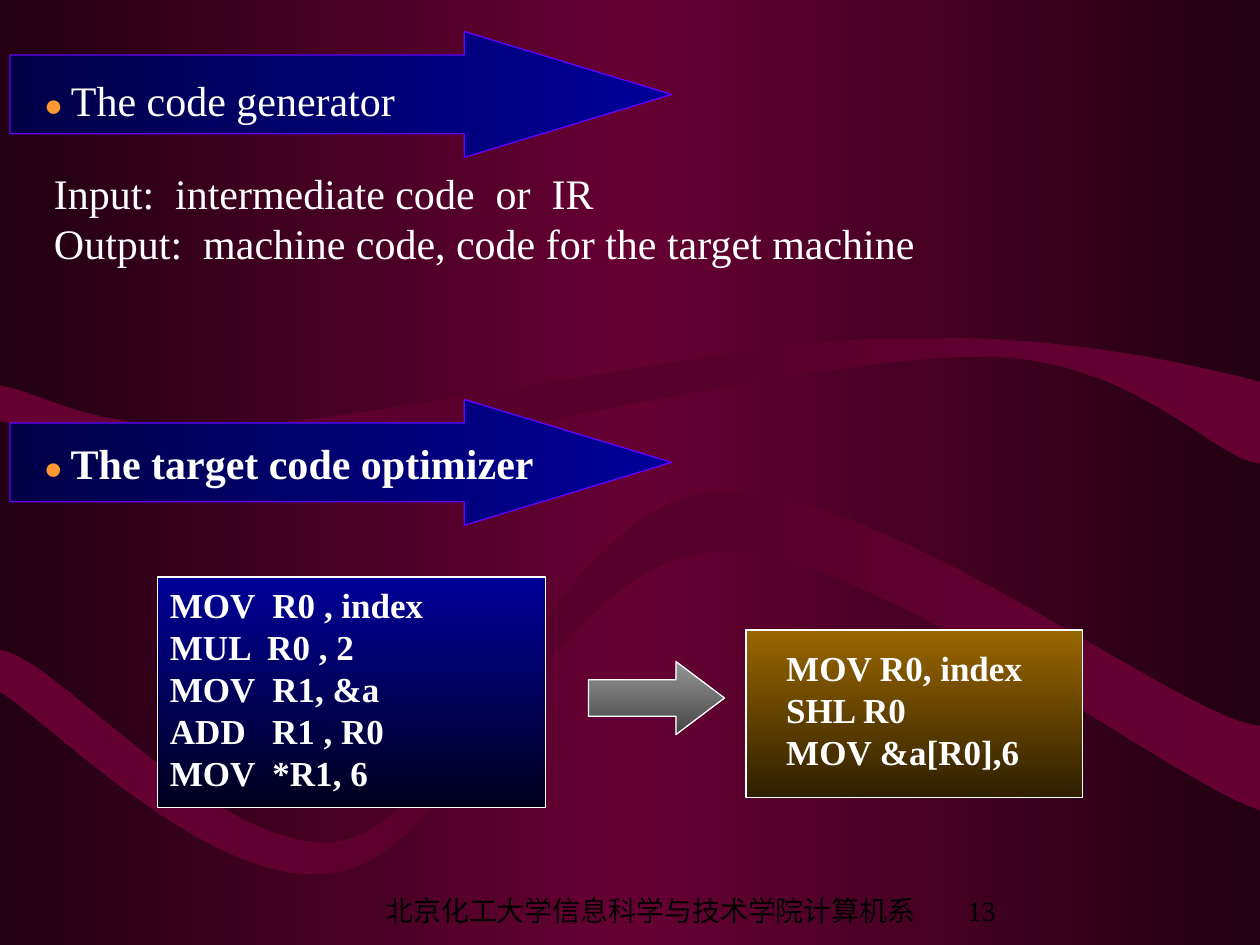
from copy import deepcopy

from lxml import etree
from pptx import Presentation
from pptx.dml.color import RGBColor
from pptx.enum.shapes import MSO_SHAPE
from pptx.enum.text import MSO_ANCHOR, PP_ALIGN
from pptx.oxml.ns import qn
from pptx.util import Inches, Pt

COLORS = {
    "white": "FFFFFF", "black": "000000", "bullet": "FF9933", "violet": "6600FF",
    "wine": "660033", "wine_mid": "56002B", "wine_dark": "220011",
    "navy": "000047", "blue": "000099", "midnight": "00001C",
    "gold": "996600", "brown": "2E1F00", "silver": "969696", "slate": "454545",
}
FONT = "Times New Roman"
UPPER_RIBBON = ((0, 3.06), [
    [(0, 3.34)],
    [(0.37, 3.43), (1.75, 3.7), (2.22, 3.75)],
    [(2.69, 3.8), (1.9, 3.79), (2.82, 3.64)],
    [(3.75, 3.48), (6.6, 2.82), (7.8, 2.83)],
    [(9, 2.83), (9.63, 3.65), (10, 3.68)],
    [(10, 3.03)],
    [(9.5, 2.9), (8.36, 2.63), (7.01, 2.69)],
    [(5.66, 2.74), (3.07, 3.32), (1.9, 3.38)],
    [(0.73, 3.44), (0.4, 3.13), (0, 3.06)],
])
LOWER_RIBBON = ((0, 5.16), [
    [(0, 5.49)],
    [(0.45, 5.78), (1.74, 7.11), (2.69, 6.92)],
    [(3.63, 6.74), (4.43, 4.46), (5.65, 4.38)],
    [(6.87, 4.29), (9.27, 6.2), (10, 6.43)],
    [(10, 5.76)],
    [(9.38, 5.72), (6.91, 3.77), (5.62, 3.91)],
    [(4.41, 4.06), (3.67, 6.46), (2.73, 6.67)],
    [(1.79, 6.87), (0.45, 5.2), (0, 5.16)],
])


def rgb(name):
    """Return the named colour."""
    return RGBColor.from_string(COLORS[name])


def set_gradient(fill, names, downward=False):
    """Spread two or three colours evenly, rightward or downward."""
    fill.gradient()
    fill.gradient_angle = 270 if downward else 0
    if len(names) == 3:
        first = fill.gradient_stops[0]._gs
        first.addnext(deepcopy(first))
    for index, (stop, name) in enumerate(zip(fill.gradient_stops, names)):
        stop.color.rgb = rgb(name)
        stop.position = index / (len(names) - 1)


def add_ribbon(page, start, segments):
    """Draw a closed band whose three-point segments are cubic curves."""
    builder = page.shapes.build_freeform(Inches(start[0]), Inches(start[1]))
    builder.add_line_segments(
        [(Inches(x), Inches(y)) for segment in segments for x, y in segment])
    ribbon = builder.convert_to_shape()
    lines = iter(list(ribbon._element.iter(qn("a:lnTo"))))
    for segment in segments:
        group = [next(lines) for _ in segment]
        if len(group) == 3:
            curve = etree.Element(qn("a:cubicBezTo"))
            group[0].addprevious(curve)
            for line in group:
                curve.append(line[0])
                line.getparent().remove(line)
    ribbon.shadow.inherit = False
    ribbon.line.fill.background()
    set_gradient(ribbon.fill, ["wine", "wine_mid", "wine"])


def add_block(page, kind, box, names, line, downward=False, adjustments=()):
    """Add an outlined preset shape with a gradient fill."""
    block = page.shapes.add_shape(kind, *map(Inches, box))
    block.shadow.inherit = False
    set_gradient(block.fill, names, downward)
    block.line.color.rgb = rgb(line)
    block.line.width = Pt(0.75)
    for index, value in enumerate(adjustments):
        block.adjustments[index] = value
    return block


def format_span(span, size, color, bold=False):
    """Set the font of one run."""
    span.font.name = FONT
    span.font.size = Pt(size)
    span.font.bold = bold
    span.font.color.rgb = rgb(color)


def write_lines(frame, lines, size, color="white", bold=False, align=PP_ALIGN.JUSTIFY,
                anchor=MSO_ANCHOR.TOP, left=0.1, top=0.05):
    """Fill a text frame with evenly formatted lines."""
    frame.word_wrap = True
    frame.vertical_anchor = anchor
    frame.margin_left, frame.margin_top = Inches(left), Inches(top)
    frame.text = "\n".join(lines)
    for para in frame.paragraphs:
        para.alignment = align
        for span in para.runs:
            format_span(span, size, color, bold)


def add_text(page, box, lines, size, **style):
    """Add a text box with evenly formatted lines."""
    text_box = page.shapes.add_textbox(*map(Inches, box))
    write_lines(text_box.text_frame, lines, size, **style)


def add_banner(page, box):
    """Add the blue arrow behind a heading."""
    add_block(page, MSO_SHAPE.RIGHT_ARROW, box, ["navy", "blue"], "violet",
              adjustments=(0.625, 1.646))


def write_heading(shape, box, text, anchor, bold):
    """Place a heading with an orange dot in front."""
    shape.left, shape.top, shape.width, shape.height = map(Inches, box)
    shape.text_frame.word_wrap = True
    shape.text_frame.vertical_anchor = anchor
    para = shape.text_frame.paragraphs[0]
    para.alignment = PP_ALIGN.LEFT
    for words, size, color, heavy in (("● ", 18, "bullet", not bold),
                                      (text, 24, "white", bold)):
        span = para.add_run()
        span.text = words
        format_span(span, size, color, heavy)


def add_code_panel(page, box, lines, names, left, top):
    """Add a gradient rectangle holding assembly code."""
    panel = add_block(page, MSO_SHAPE.RECTANGLE, box, names, "white", downward=True)
    write_lines(panel.text_frame, lines, 20, bold=True, left=left, top=top)


def add_footer(page, box, number_box):
    """Add the department name and the page number."""
    style = {"color": "black", "align": PP_ALIGN.CENTER, "anchor": MSO_ANCHOR.BOTTOM}
    add_text(page, box, ["北京化工大学信息科学与技术学院计算机系"], 16, **style)
    add_text(page, number_box, ["13"], 16, **style)


def main():
    """Build the slide and save it."""
    deck = Presentation()
    deck.slide_width, deck.slide_height = Inches(10), Inches(7.5)
    page = deck.slides.add_slide(deck.slide_layouts[5])
    set_gradient(page.background.fill, ["wine_dark", "wine", "wine_dark"])
    for start, segments in (UPPER_RIBBON, LOWER_RIBBON):
        add_ribbon(page, start, segments)
    add_footer(page, (2.83, 7.08, 4.67, 0.33), (7.5, 7.08, 0.58, 0.33))

    for top in (3.17, 0.25):
        add_banner(page, (0.08, top, 5.25, 1))
    title = page.shapes.title
    page.shapes._spTree.append(title._element)
    write_heading(title, (0.25, 0.5, 5, 0.58), "The code generator", MSO_ANCHOR.MIDDLE, False)
    heading_box = (0.25, 3.42, 6.5, 0.5)
    heading = page.shapes.add_textbox(*map(Inches, heading_box))
    write_heading(heading, heading_box, "The target code optimizer", MSO_ANCHOR.TOP, True)

    add_code_panel(page, (1.25, 4.58, 3.08, 1.83),
                   ["MOV  R0 , index", "MUL  R0 , 2", "MOV  R1, &a",
                    "ADD   R1 , R0", "MOV  *R1, 6"],
                   ["blue", "midnight"], left=0.1, top=0.05)
    add_code_panel(page, (5.92, 5, 2.67, 1.33),
                   ["MOV R0, index", "SHL R0", "MOV &a[R0],6"],
                   ["gold", "brown"], left=0.32, top=0.13)
    add_text(page, (0.33, 1.28, 8.17, 1.3),
             ["Input:  intermediate code  or  IR",
              "Output:  machine code, code for the target machine"], 24)
    add_block(page, MSO_SHAPE.RIGHT_ARROW, (4.67, 5.25, 1.08, 0.58), ["silver", "slate"],
              "white", downward=True, adjustments=(0.5, 0.664))
    deck.save("out.pptx")


if __name__ == "__main__":
    main()
